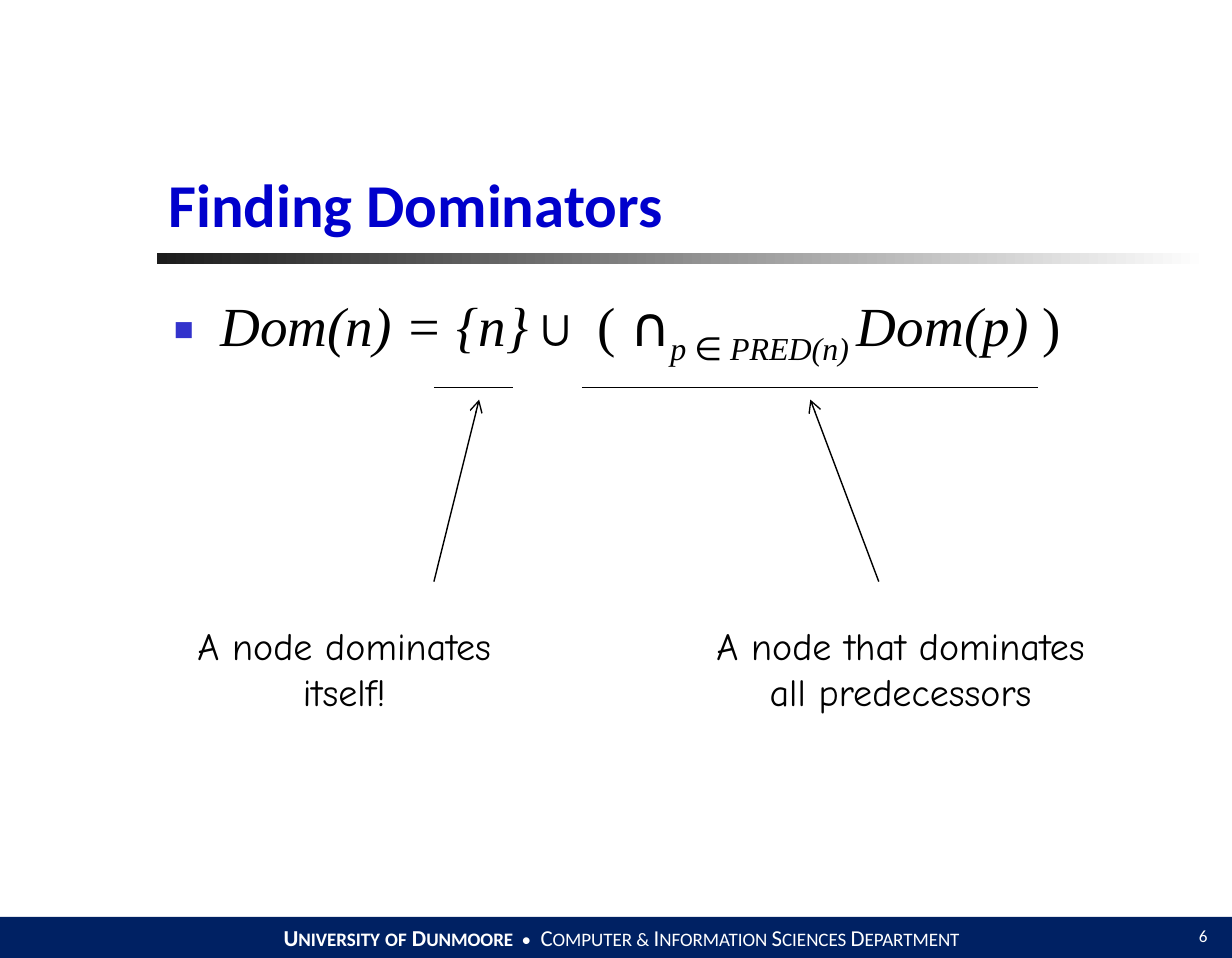
from lxml import etree
from pptx import Presentation
from pptx.dml.color import RGBColor
from pptx.enum.shapes import MSO_CONNECTOR, MSO_SHAPE
from pptx.enum.text import MSO_ANCHOR, MSO_AUTO_SIZE, PP_ALIGN
from pptx.oxml.ns import qn
from pptx.util import Inches, Pt

RECT = MSO_SHAPE.RECTANGLE
STRAIGHT = MSO_CONNECTOR.STRAIGHT
LEFT, CENTER, RIGHT = PP_ALIGN.LEFT, PP_ALIGN.CENTER, PP_ALIGN.RIGHT
TOP, MIDDLE, BOTTOM = MSO_ANCHOR.TOP, MSO_ANCHOR.MIDDLE, MSO_ANCHOR.BOTTOM
NO_FIT = MSO_AUTO_SIZE.NONE

COLORS = {
    "title": "0000CC",
    "text": "000000",
    "bullet": "3333CC",
    "bar": "002163",
    "white": "FFFFFF",
    "rule": "1C1C1C",
}
SERIF, SANS, SYMBOL, HAND = "Times New Roman", "Calibri", "Roboto", "Comic Neue"


def rgb(name):
    return RGBColor.from_string(COLORS[name])


def format_run(r, font, size, color, bold=False, italic=False):
    r.font.name = font
    r.font.size = Pt(size)
    r.font.color.rgb = rgb(color)
    r.font.bold = bold
    r.font.italic = italic


def add_run(p, text, *style, **flags):
    r = p.add_run()
    r.text = text
    format_run(r, *style, **flags)
    return r


def place(sp, left, top, width, height):
    sp.left, sp.top = Inches(left), Inches(top)
    sp.width, sp.height = Inches(width), Inches(height)


def setup_frame(sp, anchor, wrap=True):
    tf = sp.text_frame
    tf.auto_size = NO_FIT
    tf.word_wrap = wrap
    tf.vertical_anchor = anchor
    return tf


def add_bar(s, left, top, width, height):
    sp = s.shapes.add_shape(RECT, Inches(left), Inches(top), Inches(width), Inches(height))
    sp.shadow.inherit = False
    sp.line.fill.background()
    return sp


def add_title_rule(s):
    sp = add_bar(s, 1.15, 1.85, 7.68, 0.08)
    sp.fill.gradient()
    sp.fill.gradient_angle = 180
    for stop, color in zip(sp.fill.gradient_stops, ("white", "rule")):
        stop.color.rgb = rgb(color)


def add_footer(s):
    sp = add_bar(s, 0, 6.7, 9.08, 0.3)
    sp.fill.solid()
    sp.fill.fore_color.rgb = rgb("bar")
    p = setup_frame(sp, MIDDLE).paragraphs[0]
    p.alignment = CENTER
    school = [("U", 12), ("NIVERSITY", 10), (" ", 12), ("OF", 10), (" D", 12), ("UNMOORE  ", 10)]
    department = [("• ", 10), (" C", 12), ("OMPUTER & ", 10), ("I", 12), ("NFORMATION ", 10),
                  ("S", 12), ("CIENCES ", 10), ("D", 12), ("EPARTMENT", 10)]
    for parts, bold in ((school, True), (department, False)):
        for text, size in parts:
            add_run(p, text, SANS, size, "white", bold=bold)


def add_label(s, box, lines, font, size, color, align=CENTER, anchor=TOP, wrap=False):
    sp = s.shapes.add_textbox(*(Inches(v) for v in box))
    tf = setup_frame(sp, anchor, wrap)
    tf.text = "\n".join(lines)
    for p in tf.paragraphs:
        p.alignment = align
        format_run(p.runs[0], font, size, color)


def add_line(s, start, end, arrow=False):
    cx = s.shapes.add_connector(STRAIGHT, *(Inches(v) for v in start + end))
    cx.line.color.rgb = rgb("text")
    cx.line.width = Pt(0.75)
    if arrow:
        etree.SubElement(cx.line._get_or_add_ln(), qn("a:tailEnd"), type="arrow")
    etree.SubElement(cx._element.spPr, qn("a:effectLst"))


def set_title(s):
    sp = s.shapes.title
    place(sp, 1.13, 0.63, 7.67, 1.17)
    tf = setup_frame(sp, BOTTOM)
    tf.text = "Finding Dominators"
    p = tf.paragraphs[0]
    p.alignment = LEFT
    format_run(p.runs[0], SANS, 32, "title", bold=True)


def set_bullet(p):
    pPr = p._p.get_or_add_pPr()
    pPr.set("marL", str(Inches(0.34)))
    pPr.set("indent", str(Inches(-0.34)))
    color = etree.SubElement(pPr, qn("a:buClr"))
    etree.SubElement(color, qn("a:srgbClr"), val=COLORS["bullet"])
    etree.SubElement(pPr, qn("a:buSzPct"), val="60000")
    etree.SubElement(pPr, qn("a:buFont"), typeface="Arial")
    etree.SubElement(pPr, qn("a:buChar"), char="■")


def set_formula(s):
    sp = s.placeholders[1]
    place(sp, 1.17, 2.08, 7.65, 1.08)
    p = setup_frame(sp, TOP).paragraphs[0]
    p.alignment = LEFT
    p.space_before = Pt(7.3)
    set_bullet(p)
    parts = [
        ("Dom(n) = {n}", SERIF, True, False),
        ("∪ ( ", SERIF, False, False),
        ("∩", SYMBOL, False, False),
        ("p ", SERIF, True, True),
        ("∈", SYMBOL, True, True),
        (" PRED(n) ", SERIF, True, True),
        ("Dom(p)", SERIF, True, False),
        (" )", SERIF, False, False),
    ]
    for text, font, italic, subscript in parts:
        r = add_run(p, text, font, 29, "text", italic=italic)
        if subscript:
            r._r.get_or_add_rPr().set("baseline", "-25000")


def main():
    prs = Presentation()
    prs.slide_width, prs.slide_height = Inches(9), Inches(7)
    s = prs.slides.add_slide(prs.slide_layouts[1])
    add_title_rule(s)
    add_footer(s)
    add_label(s, (8.25, 6.67, 0.67, 0.33), ["6"], SANS, 9, "white", RIGHT, MIDDLE, True)
    set_title(s)
    set_formula(s)
    for left, right in ((4.25, 7.58), (3.17, 3.75)):
        add_line(s, (left, 2.83), (right, 2.83))
    for tail, head in ((6.42, 5.92), (3.17, 3.5)):
        add_line(s, (tail, 4.25), (head, 2.92), arrow=True)
    add_label(s, (1.34, 4.5, 2.35, 0.77), ["A node dominates", "itself!"], HAND, 20, "text")
    add_label(s, (5.13, 4.5, 2.9, 0.77), ["A node that dominates", "all predecessors"],
              HAND, 20, "text")
    prs.save("out.pptx")


if __name__ == "__main__":
    main()
